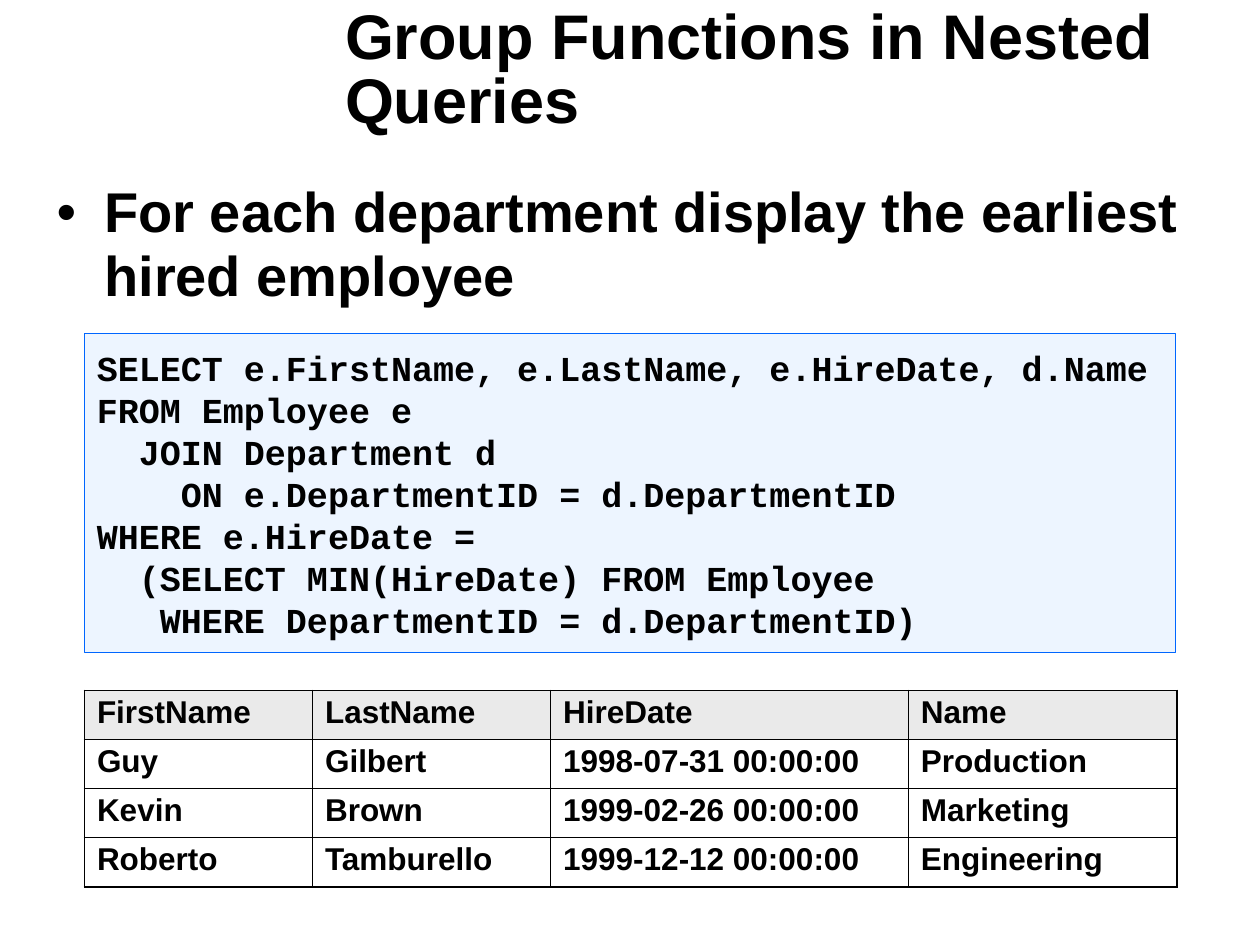
from dataclasses import dataclass

from lxml import etree
from pptx import Presentation
from pptx import util as u
from pptx.dml.color import RGBColor
from pptx.enum import shapes, text
from pptx.oxml.ns import qn

COLORS = {"ink": "000000", "code_fill": "DDECFF", "code_line": "0066FF", "header": "EAEAEA"}
THICK, THIN = u.Pt(1.08), u.Pt(0.45)
COLUMN_WIDTHS = (1.81, 1.89, 2.84, 2.13)
ROW_HEIGHT = 0.39

CODE = """SELECT e.FirstName, e.LastName, e.HireDate, d.Name
FROM Employee e
  JOIN Department d
    ON e.DepartmentID = d.DepartmentID
WHERE e.HireDate =
  (SELECT MIN(HireDate) FROM Employee
   WHERE DepartmentID = d.DepartmentID)"""


@dataclass
class Employee:
    """One row of the query result."""

    first_name: str
    last_name: str
    hire_date: str
    department: str

    def values(self) -> tuple[str, ...]:
        """Return the cell texts in column order."""
        return self.first_name, self.last_name, self.hire_date, self.department


@dataclass
class Style:
    """Font and line spacing of a text."""

    size: float
    font: str = "Arial"
    spacing: float = 1.0


TITLE = Style(36, spacing=0.85)
BODY = Style(32, spacing=0.95)
CELL = Style(18, spacing=0.95)
LISTING = Style(20, font="Courier New")

RESULT = [
    Employee("FirstName", "LastName", "HireDate", "Name"),
    Employee("Guy", "Gilbert", "1998-07-31 00:00:00", "Production"),
    Employee("Kevin", "Brown", "1999-02-26 00:00:00", "Marketing"),
    Employee("Roberto", "Tamburello", "1999-12-12 00:00:00", "Engineering"),
]


def rgb(name: str) -> RGBColor:
    """Look up a named colour."""
    return RGBColor.from_string(COLORS[name])


def write(tf, content: str, style: Style) -> None:
    """Write each line of the content as a bold paragraph."""
    for i, line in enumerate(content.split("\n")):
        p = tf.add_paragraph() if i else tf.paragraphs[0]
        p.alignment = text.PP_ALIGN.LEFT
        p.line_spacing = style.spacing
        r = p.add_run()
        r.text = line
        r.font.name, r.font.size, r.font.bold = style.font, u.Pt(style.size), True
        r.font.color.rgb = rgb("ink")


def add_text(s, box: tuple[float, ...], content: str, style: Style, anchor):
    """Add a wrapped text box and return its text frame."""
    tf = s.shapes.add_textbox(*map(u.Inches, box)).text_frame
    tf.word_wrap = True
    tf.vertical_anchor = anchor
    write(tf, content, style)
    return tf


def add_bullet(p) -> None:
    """Give a paragraph a hanging bullet."""
    pPr = p._p.get_or_add_pPr()
    pPr.set("marL", str(u.Inches(0.38)))
    pPr.set("indent", str(-u.Inches(0.38)))
    color = etree.SubElement(pPr, qn("a:buClr"))
    etree.SubElement(color, qn("a:srgbClr"), val=COLORS["ink"])
    etree.SubElement(pPr, qn("a:buFont"), typeface="Arial")
    etree.SubElement(pPr, qn("a:buChar"), char="•")


def add_code(s, box: tuple[float, ...], content: str) -> None:
    """Add the framed code listing."""
    sp = s.shapes.add_shape(shapes.MSO_SHAPE.RECTANGLE, *map(u.Inches, box))
    sp.shadow.inherit = False
    sp.fill.solid()
    sp.fill.fore_color.rgb = rgb("code_fill")
    fill_color = sp._element.spPr.find(qn("a:solidFill"))[0]
    etree.SubElement(fill_color, qn("a:alpha"), val="50000")
    sp.line.color.rgb = rgb("code_line")
    sp.line.width = u.Pt(0.75)
    tf = sp.text_frame
    tf.word_wrap = True
    tf.vertical_anchor = text.MSO_ANCHOR.TOP
    tf.margin_top = tf.margin_bottom = u.Inches(0.1)
    write(tf, content, LISTING)


def set_borders(cell, widths: dict[str, int]) -> None:
    """Draw the borders of a cell, keyed by side."""
    tcPr = cell._tc.get_or_add_tcPr()
    for i, (side, width) in enumerate(widths.items()):
        ln = etree.Element(qn(f"a:ln{side}"), w=str(width))
        fill = etree.SubElement(ln, qn("a:solidFill"))
        etree.SubElement(fill, qn("a:srgbClr"), val=COLORS["ink"])
        tcPr.insert(i, ln)


def add_result(s, left: float, top: float, rows: list[Employee]) -> None:
    """Add the result table with a thick frame and header rule."""
    n_rows, n_cols = len(rows), len(COLUMN_WIDTHS)
    size = (sum(COLUMN_WIDTHS), ROW_HEIGHT * n_rows)
    table = s.shapes.add_table(n_rows, n_cols, *map(u.Inches, (left, top, *size))).table
    table.first_row = table.horz_banding = False
    for column, width in zip(table.columns, COLUMN_WIDTHS):
        column.width = u.Inches(width)
    for i, row in enumerate(rows):
        for j, value in enumerate(row.values()):
            cell = table.cell(i, j)
            if i == 0:
                cell.fill.solid()
                cell.fill.fore_color.rgb = rgb("header")
            else:
                cell.fill.background()
            write(cell.text_frame, value, CELL)
            set_borders(cell, {
                "L": THICK if j == 0 else THIN,
                "R": THICK if j == n_cols - 1 else THIN,
                "T": THICK if i <= 1 else THIN,
                "B": THICK if i in (0, n_rows - 1) else THIN,
            })


def main() -> None:
    """Build the slide on nested group functions."""
    prs = Presentation()
    prs.slide_width, prs.slide_height = u.Inches(10), u.Inches(7.5)
    s = prs.slides.add_slide(prs.slide_layouts[6])
    add_text(s, (2.64, 0.08, 7.17, 0.99), "Group Functions in Nested Queries",
             TITLE, text.MSO_ANCHOR.MIDDLE)
    tf = add_text(s, (0.35, 1.39, 9.29, 5.83),
                  "For each department display the earliest hired employee",
                  BODY, text.MSO_ANCHOR.TOP)
    add_bullet(tf.paragraphs[0])
    add_code(s, (0.67, 2.65, 8.66, 2.53), CODE)
    add_result(s, 0.67, 5.48, RESULT)
    prs.save("out.pptx")


if __name__ == "__main__":
    main()
